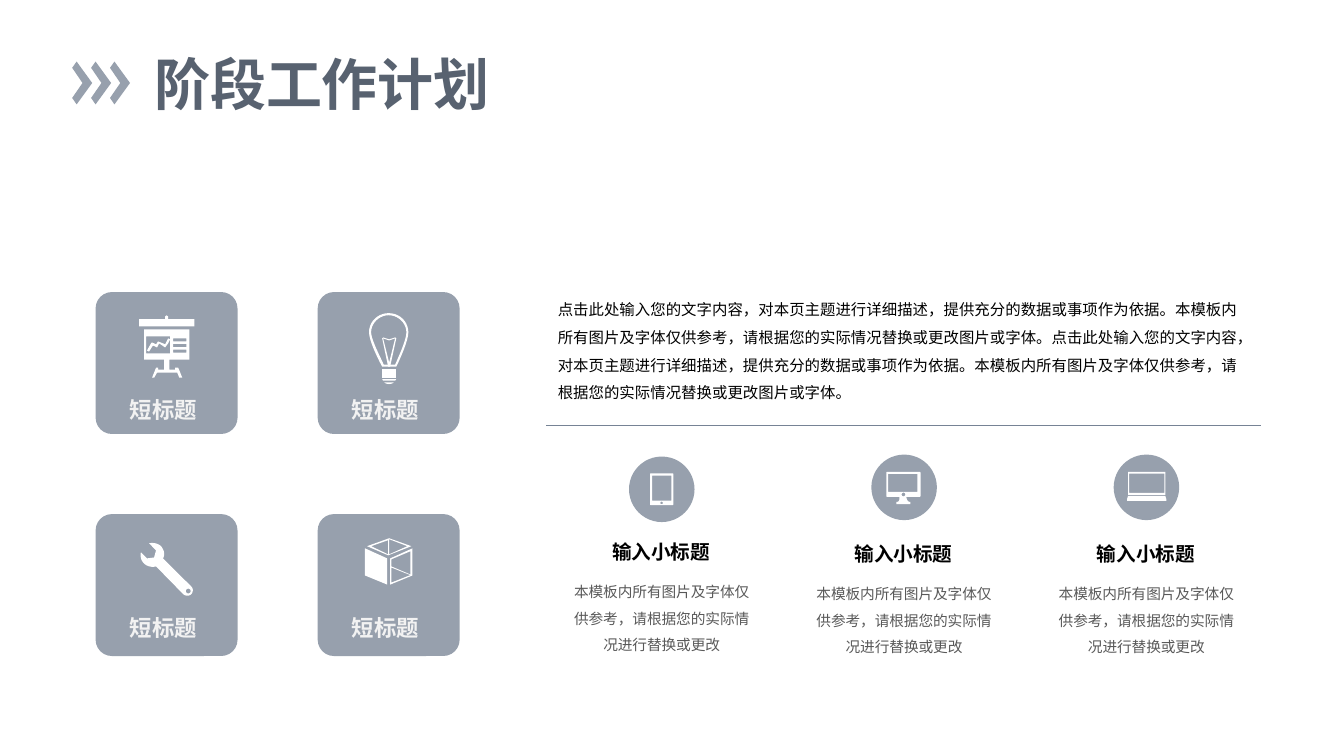
from math import cos, pi, sin

from lxml import etree
from pptx import Presentation
from pptx import util as u
from pptx.dml.color import RGBColor
from pptx.enum import shapes, text
from pptx.oxml.ns import qn

Pt = u.Pt
FONT = "League Spartan"
HUES = {"tile": "97A0AD", "icon": "FFFFFF", "label": "F2F2F2", "rule": "768395",
        "title": "586270", "head": "000000", "body": "595959"}


def box(x, y, w, h):
    return [(x, y), (x + w, y), (x + w, y + h), (x, y + h)]


def soft(x, y, w, h, r):
    a, b = x + w, y + h
    return [(x + r, y), (a - r, y), (a, y, a, y, a, y + r), (a, b - r),
            (a, b, a, b, a - r, b), (x + r, b), (x, b, x, b, x, b - r),
            (x, y + r), (x, y, x, y, x + r, y)]


def dot(x, y, r, n=24):
    return [(x + r * cos(2 * pi * i / n), y + r * sin(2 * pi * i / n)) for i in range(n)]


def trace(loop, n=10):
    pts = []
    for step in loop:
        if len(step) == 2:
            pts.append(step)
            continue
        ends = [pts[-1], step[:2], step[2:4], step[4:]]
        for i in range(1, n + 1):
            t = i / n
            mix = ((1 - t) ** 3, 3 * t * (1 - t) ** 2, 3 * t * t * (1 - t), t ** 3)
            pts.append(tuple(sum(m * e[k] for m, e in zip(mix, ends)) for k in (0, 1)))
    return [(x * 100, y * 100) for x, y in pts]


class Deck:
    def __init__(self, wide, high):
        self.prs = Presentation()
        self.prs.slide_width, self.prs.slide_height = Pt(wide), Pt(high)
        self.slide = self.prs.slides.add_slide(self.prs.slide_layouts[6])

    def group(self):
        return self.slide.shapes.add_group_shape().shapes

    def paint(self, shape, hue):
        shape.shadow.inherit = False
        shape.fill.solid()
        shape.fill.fore_color.rgb = RGBColor.from_string(HUES[hue])
        shape.line.fill.background()

    def shape(self, host, kind, x, y, size, adj=None):
        item = host.add_shape(kind, Pt(x), Pt(y), Pt(size), Pt(size))
        if adj:
            item.adjustments[0] = adj
        self.paint(item, "tile")

    def draw(self, host, x, y, loops, hue="icon"):
        pen = None
        for loop in loops:
            pts = trace(loop)
            if pen is None:
                pen = host.build_freeform(*pts[0], scale=Pt(1) / 100)
            else:
                pen.move_to(*pts[0])
            pen.add_line_segments(pts[1:], close=True)
        self.paint(pen.convert_to_shape(Pt(x), Pt(y)), hue)

    def text(self, host, words, x, y, w, h, size, hue, bold=False, wrap=True,
             mid=True, gap=None, pad=(7.2, 3.6)):
        item = host.add_textbox(Pt(x), Pt(y), Pt(w), Pt(h))
        frame = item.text_frame
        frame.word_wrap = wrap
        frame.auto_size = text.MSO_AUTO_SIZE.SHAPE_TO_FIT_TEXT
        frame.margin_left = frame.margin_right = Pt(pad[0])
        frame.margin_top = frame.margin_bottom = Pt(pad[1])
        para = frame.paragraphs[0]
        para.text = words
        para.alignment = text.PP_ALIGN.CENTER if mid else text.PP_ALIGN.LEFT
        if gap:
            para.line_spacing = gap
        font = para.font
        font.size, font.bold, font.name = Pt(size), bold, FONT
        font.color.rgb = RGBColor.from_string(HUES[hue])
        props = para._p.pPr.find(qn("a:defRPr"))
        etree.SubElement(props, qn("a:ea")).set("typeface", FONT)

    def rule(self, x, y, w):
        line = self.slide.shapes.add_connector(
            shapes.MSO_CONNECTOR.STRAIGHT, Pt(x), Pt(y), Pt(x + w), Pt(y))
        line.line.color.rgb = RGBColor.from_string(HUES["rule"])
        line.line.width = Pt(0.5)
        etree.SubElement(line._element.spPr, qn("a:effectLst"))


BOARD = [
    [[(31, 19.4), (49.6, 19.4), (49.6, 17.5), (50.7, 16.6), (51.8, 17.5), (51.8, 19.4),
      (70.6, 19.4), (70.6, 24.5), (31, 24.5)]],
    [[(67, 48.2), (67, 26.6), (34.6, 26.6), (34.6, 48.2), (49, 48.2), (49, 55.4),
      (44.6, 55.4), (44.6, 54), (43.2, 54), (40.3, 61.2), (41.8, 61.2), (43.9, 57.6),
      (58.3, 57.6), (59.8, 61.2), (61.9, 61.2), (59, 54), (56.9, 54), (56.9, 55.4),
      (52.6, 55.4), (52.6, 48.2)],
     *[box(55.4, 33.1 + 4 * i, 9.4, 2.2) for i in range(3)],
     box(36, 31.7, 17.3, 12.2)],
    [[(50.4, 36), (49.7, 37.4), (48.2, 36.7), (44.6, 35.3), (43.2, 37.4), (40.3, 36),
      (39.6, 36.7), (36.7, 41.8), (38.2, 42.5), (41, 38.2), (43.9, 39.6), (45.4, 36.7),
      (49.7, 39.6), (51.8, 36.7), (53.3, 33.8), (51.8, 33.1)]],
]
BULB = [
    [[(50.8, 15.1), (58.3, 15.1, 64.8, 20.9, 64.8, 28.8),
      (64.8, 36, 56.2, 53.3, 56.2, 53.3), (46.1, 53.3),
      (46.1, 53.3, 36.7, 36, 36.7, 28.8), (36.7, 20.9, 43.2, 15.1, 50.8, 15.1)],
     [(50.8, 16.6), (57.6, 16.6, 63.4, 22.3, 63.4, 28.8),
      (63.4, 34.6, 56.9, 48.2, 55.4, 51.8), (47.2, 51.8),
      (44.6, 46.1, 38.2, 33.8, 38.2, 28.8), (38.2, 22.3, 43.9, 16.6, 50.8, 16.6)]],
    [[(46.1, 62.2), (56.2, 62.2), (55.4, 63.4), (46.8, 63.4)]],
    [[(47.7, 64.6), (54.4, 64.6), (53, 66.1, 49, 66.1, 47.7, 64.6)]],
    [box(46.1, 54.7, 10.1, 6.5)],
    [[(56.2, 33.1), (55.4, 32.4), (51.1, 33.8), (46.8, 32.4), (46.1, 33.1),
      (50.4, 53.3), (51.8, 53.3)],
     [(51.1, 50.4), (46.8, 33.1), (51.1, 34.6), (55.4, 33.1)]],
]
WRENCH = [
    [[(48.2, 31.7), (49.7, 28.8, 49, 25.9, 46.8, 23), (44.6, 20.9, 41, 20.2, 38.2, 20.9),
      (43.2, 25.9), (41.8, 31), (36.7, 31.7), (32.4, 27.4),
      (31.7, 30.2, 32.4, 33.1, 34.6, 35.3), (36.7, 37.4, 40.3, 38.2, 43.2, 37.4),
      (62.6, 57.2), (64.1, 58.7, 67, 58.7, 68.4, 57.2),
      (69.8, 55.4, 69.8, 53.3, 68.4, 51.8)],
     dot(66.2, 55, 1.7)],
]
CUBE = [
    [[(51.8, 31.7), (51.8, 50.4), (67.7, 43.9), (67.7, 24.5)],
     [(66.2, 26.6), (66.2, 43.2), (52.6, 37.4), (52.6, 32.4)],
     [(52.6, 38.2), (66.2, 43.6), (52.6, 49)]],
    [[(33.8, 43.9), (49.7, 50.4), (49.7, 31.7), (33.8, 24.5)]],
    [[(51.1, 17.3), (35.3, 23), (50.4, 29.5), (67, 23)],
     [(51.1, 18), (64.1, 23), (51.1, 28.8)],
     [(50.4, 18.7), (50.4, 28.8), (38.2, 23)]],
]
TABLET = [[soft(15.1, 12, 16.6, 22.8, 1.4), box(16.5, 13.6, 13.7, 18), dot(23.3, 33.2, 0.9)]]
SCREEN = [
    [soft(10.7, 12.3, 24.5, 17.9, 1.4), box(12.1, 13.7, 20.9, 13), dot(23, 28.5, 1.3),
     [(20, 30.2), (20, 30.2, 20.9, 33.9, 17.9, 33.9), (17.9, 35.3), (28, 35.3),
      (28, 33.9), (25.1, 33.9, 25.1, 30.2, 25.1, 30.2)]],
]
LAPTOP = [
    [box(10.3, 12.3, 26.6, 16.5), box(11, 13.7, 25.2, 13.7)],
    [[(36.9, 29.5), (37.6, 31.7), (37.6, 33.1), (9.6, 33.1), (9.6, 31.7), (10.3, 29.5)]],
]
CHEVRON = [[(0, 4.5), (3.2, 0), (14.3, 15.3), (3.2, 30.6), (0, 26), (7.4, 15.3)]]
NOTE = "本模板内所有图片及字体仅供参考，请根据您的实际情况"
INTRO = ("点击此处输入您的文字内容，对本页主题进行详细描述，提供充分的数据或事项作为依据。"
         + NOTE + "替换或更改图片或字体。")
SNUG = (5.4, 2.7)


def main():
    deck = Deck(960, 540)
    page = deck.slide.shapes

    for i, icon in enumerate((BOARD, BULB, WRENCH, CUBE)):
        row, col = divmod(i, 2)
        x, y = 68.3 + 158.6 * col, 208.6 + 158.6 * row
        tile = deck.group()
        deck.shape(tile, shapes.MSO_SHAPE.ROUNDED_RECTANGLE, x, y, 101.4, 0.115)
        for part in icon:
            deck.draw(tile, x, y, part)
        deck.text(tile, "短标题 ", x + 16.7, y + 70.7 - 3 * row, 67.7, 26.6, 16,
                  "label", bold=True, wrap=False)

    deck.rule(390.2, 303.8, 510.5)

    for i, icon in enumerate((TABLET, SCREEN, LAPTOP)):
        step, drop = 173.1 * i, 1.4 if i else 0
        x, y = 449.3 + step, 326.1 - drop
        badge = deck.group()
        deck.shape(badge, shapes.MSO_SHAPE.OVAL, x, y, 46.8)
        for part in icon:
            deck.draw(badge, x, y, part)
        pair = deck.group()
        deck.text(pair, NOTE + "进行替换或更改", 399.6 + step, 407.6 + drop, 146.2, 59.8,
                  10.5, "body", gap=1.5, pad=SNUG)
        deck.text(pair, "输入小标题", 397.4 + step, 382.3 + drop, 149.8, 24.5, 14,
                  "head", bold=True)

    deck.text(page, INTRO * 2, 393, 205.2, 507.6, 82.8, 11, "head", mid=False,
              gap=1.5, pad=SNUG)

    marks = deck.group()
    for i in range(3):
        deck.draw(marks, 51.6 + 13.5 * i, 44, CHEVRON, "tile")
    deck.text(page, "阶段工作计划", 103, 31.7, 257.8, 55.4, 40, "title", bold=True,
              wrap=False, mid=False)

    deck.prs.save("out.pptx")


if __name__ == "__main__":
    main()
